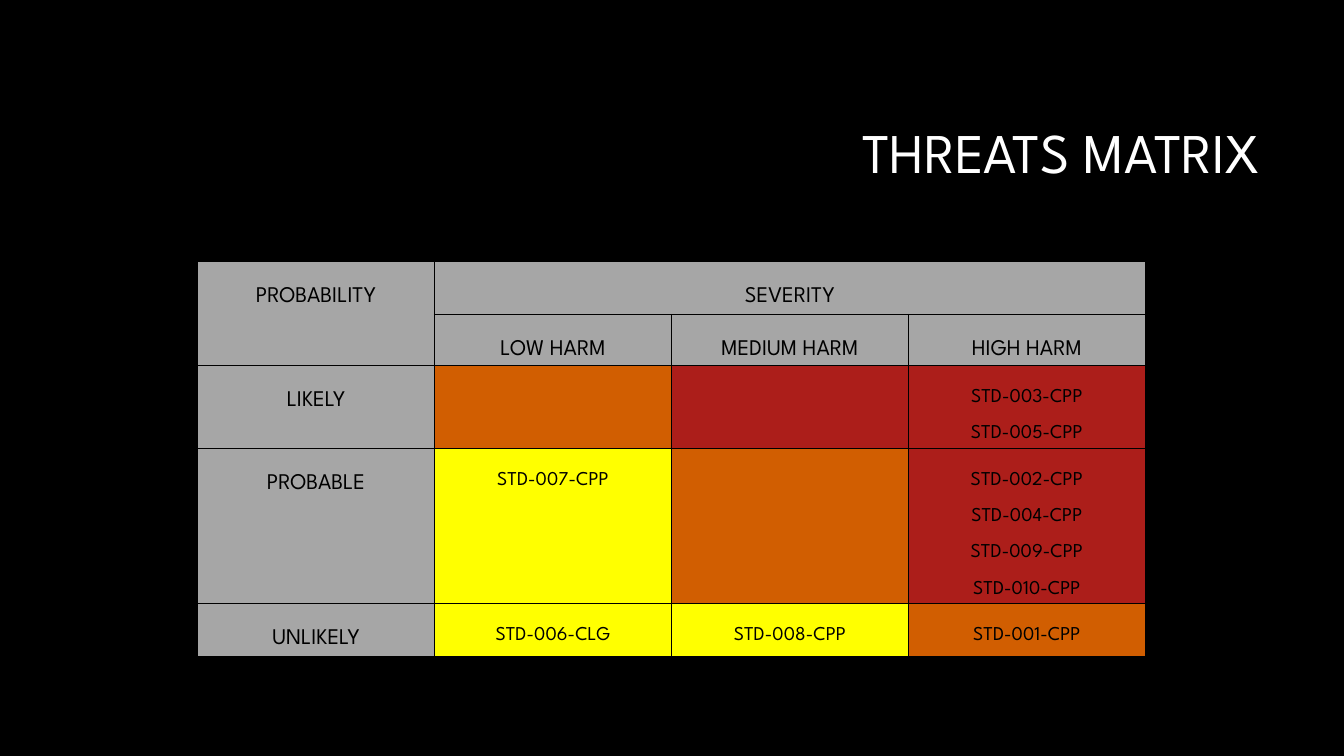
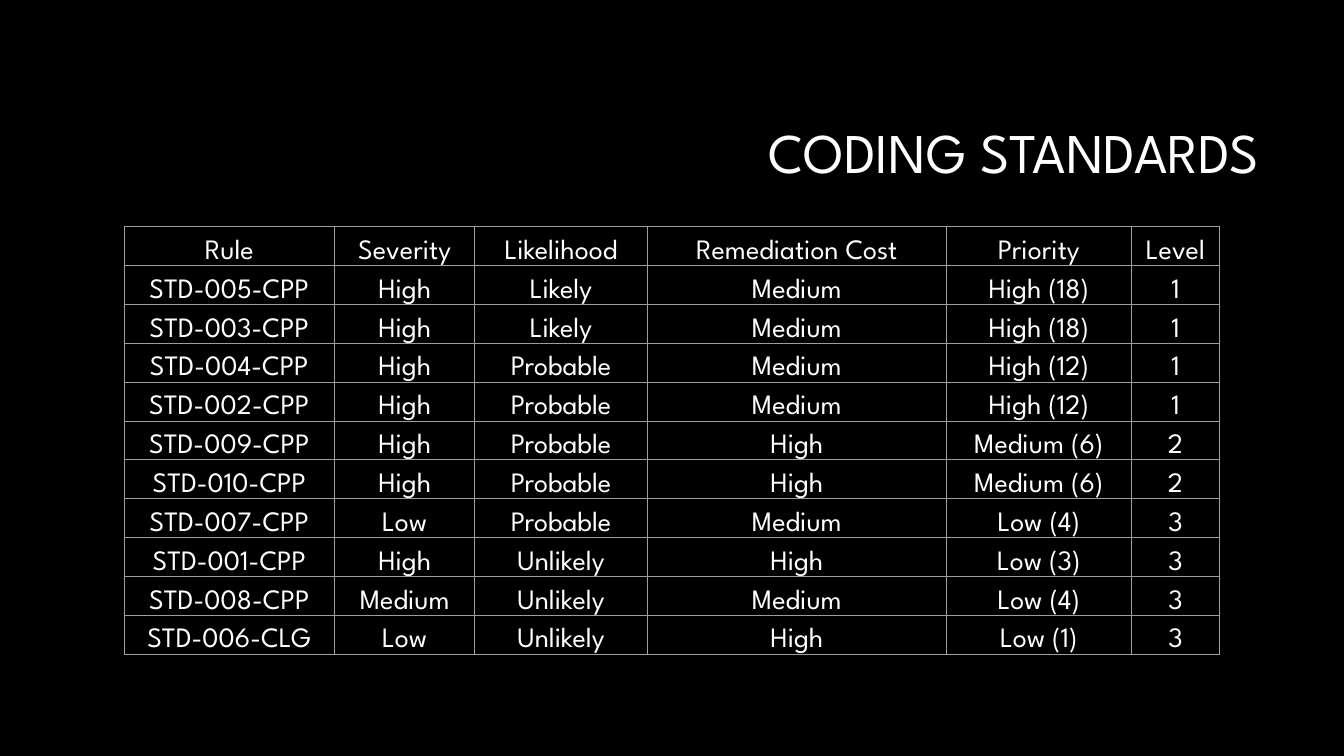
from lxml.etree import SubElement
from pptx import Presentation
from pptx.dml.color import RGBColor
from pptx.enum.text import MSO_ANCHOR, PP_ALIGN
from pptx.oxml.ns import qn
from pptx.util import Inches, Pt

FONT = "League Spartan"
BLACK = RGBColor(0x00, 0x00, 0x00)
WHITE = RGBColor(0xFF, 0xFF, 0xFF)
GREY = RGBColor(0xA6, 0xA6, 0xA6)
RULE_GREY = RGBColor(0x9E, 0x9E, 0x9E)
RED = RGBColor(0xAC, 0x1E, 0x1A)
ORANGE = RGBColor(0xD1, 0x5E, 0x01)
YELLOW = RGBColor(0xFF, 0xFF, 0x00)

# Each matrix cell: fill, then its lines of text
MATRIX = [
    [(GREY, "PROBABILITY"), (GREY, "SEVERITY"), (GREY,), (GREY,)],
    [(GREY,), (GREY, "LOW HARM"), (GREY, "MEDIUM HARM"), (GREY, "HIGH HARM")],
    [(GREY, "LIKELY"), (ORANGE,), (RED,), (RED, "STD-003-CPP", "STD-005-CPP")],
    [(GREY, "PROBABLE"), (YELLOW, "STD-007-CPP"), (ORANGE,),
     (RED, "STD-002-CPP", "STD-004-CPP", "STD-009-CPP", "STD-010-CPP")],
    [(GREY, "UNLIKELY"), (YELLOW, "STD-006-CLG"), (YELLOW, "STD-008-CPP"),
     (ORANGE, "STD-001-CPP")],
]
MATRIX_COLS = [2.35] * 4
MATRIX_ROWS = [0.53, 0.38, 0.74, 1.36, 0.53]

STANDARDS = [
    ("Rule", "Severity", "Likelihood", "Remediation Cost", "Priority", "Level"),
    ("STD-005-CPP", "High", "Likely", "Medium", "High (18)", "1"),
    ("STD-003-CPP", "High", "Likely", "Medium", "High (18)", "1"),
    ("STD-004-CPP", "High", "Probable", "Medium", "High (12)", "1"),
    ("STD-002-CPP", "High", "Probable", "Medium", "High (12)", "1"),
    ("STD-009-CPP", "High", "Probable", "High", "Medium (6)", "2"),
    ("STD-010-CPP", "High", "Probable", "High", "Medium (6)", "2"),
    ("STD-007-CPP", "Low", "Probable", "Medium", "Low (4)", "3"),
    ("STD-001-CPP", "High", "Unlikely", "High", "Low (3)", "3"),
    ("STD-008-CPP", "Medium", "Unlikely", "Medium", "Low (4)", "3"),
    ("STD-006-CLG", "Low", "Unlikely", "High", "Low (1)", "3"),
]
STANDARDS_COLS = [2.09, 1.39, 1.71, 2.97, 1.83, 0.88]
STANDARDS_ROWS = [0.35] * len(STANDARDS)


def add_text(p, text, size, color, align, spacing):
    p.alignment = align
    p.line_spacing = spacing
    r = p.add_run()
    r.text = text
    r.font.name = FONT
    r.font.size = Pt(size)
    r.font.color.rgb = color


def add_titled_slide(prs, title):
    s = prs.slides.add_slide(prs.slide_layouts[5])
    sp = s.shapes.title
    sp.left, sp.top = Inches(3.17), Inches(0.84)
    sp.width, sp.height = Inches(9.42), Inches(1.41)
    tf = sp.text_frame
    tf.vertical_anchor = MSO_ANCHOR.MIDDLE
    add_text(tf.paragraphs[0], title, 40, WHITE, PP_ALIGN.RIGHT, 0.9)
    return s


def add_plain_table(s, left, top, cols, rows):
    """Add a table without the banded style, sized in inches."""
    frame = s.shapes.add_table(len(rows), len(cols), Inches(left), Inches(top),
                               Inches(sum(cols)), Inches(sum(rows)))
    table = frame.table
    table.first_row = table.horz_banding = False
    for col, width in zip(table.columns, cols):
        col.width = Inches(width)
    for row, height in zip(table.rows, rows):
        row.height = Inches(height)
    return table


def set_borders(cell, color, width):
    tc_pr = cell._tc.get_or_add_tcPr()
    for side in ("a:lnL", "a:lnR", "a:lnT", "a:lnB"):
        ln = SubElement(tc_pr, qn(side), w=str(Pt(width)))
        fill = SubElement(ln, qn("a:solidFill"))
        SubElement(fill, qn("a:srgbClr"), val=str(color))


def fill_text(cell, lines, size, color, spacing):
    tf = cell.text_frame
    for i, line in enumerate(lines):
        p = tf.add_paragraph() if i else tf.paragraphs[0]
        add_text(p, line, size, color, PP_ALIGN.CENTER, spacing)


def add_threats_matrix(prs):
    s = add_titled_slide(prs, "THREATS MATRIX")
    table = add_plain_table(s, 1.96, 2.59, MATRIX_COLS, MATRIX_ROWS)
    table.cell(0, 0).merge(table.cell(1, 0))
    table.cell(0, 1).merge(table.cell(0, 3))
    for i, row in enumerate(MATRIX):
        for j, (fill, *lines) in enumerate(row):
            cell = table.cell(i, j)
            set_borders(cell, BLACK, 1)
            cell.fill.solid()
            cell.fill.fore_color.rgb = fill
            fill_text(cell, lines, 16 if fill == GREY else 14, BLACK, 2.0)


def add_coding_standards(prs):
    s = add_titled_slide(prs, "CODING STANDARDS")
    table = add_plain_table(s, 1.23, 2.25, STANDARDS_COLS, STANDARDS_ROWS)
    for i, row in enumerate(STANDARDS):
        for j, text in enumerate(row):
            cell = table.cell(i, j)
            set_borders(cell, RULE_GREY, 0.75)
            cell.fill.background()
            cell.margin_left = cell.margin_right = Inches(0.07)
            cell.margin_top = cell.margin_bottom = 0
            fill_text(cell, [text], 20, WHITE, 1.5)


def main():
    prs = Presentation()
    prs.slide_width, prs.slide_height = Inches(13.33), Inches(7.5)
    background = prs.slide_master.background.fill
    background.solid()
    background.fore_color.rgb = BLACK
    add_threats_matrix(prs)
    add_coding_standards(prs)
    prs.save("out.pptx")


if __name__ == "__main__":
    main()
